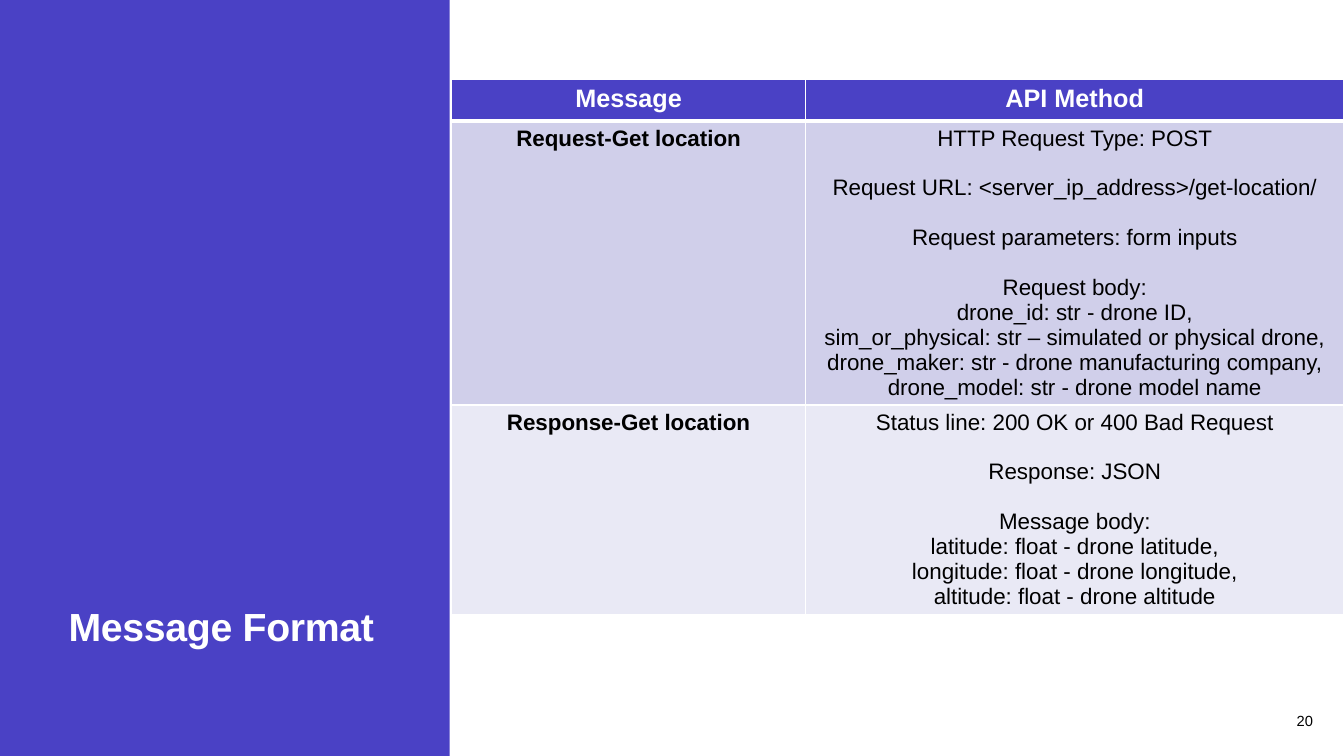
import pptx
import pptx.util
import pptx.dml.color
import pptx.enum.shapes
import pptx.enum.text
import pptx.oxml
import pptx.oxml.ns

Inches, Pt = pptx.util.Inches, pptx.util.Pt
ALIGN, ANCHOR = pptx.enum.text.PP_ALIGN, pptx.enum.text.MSO_ANCHOR

THEME = {
    "font": "Arial",
    "indigo": "4A41C5", "request": "D0CFEA", "response": "E9E9F5",
    "white": "FFFFFF", "black": "000000",
    "title": 28, "header": 18, "body": 16, "number": 10.5,
}


def format_text(paragraph, size, color, bold=False, align=ALIGN.CENTER):
    paragraph.alignment = align
    for run in paragraph.runs:
        run.font.name = THEME["font"]
        run.font.size = Pt(THEME[size])
        run.font.bold = bold
        run.font.color.rgb = pptx.dml.color.RGBColor.from_string(THEME[color])


def paint(fill, color):
    fill.solid()
    fill.fore_color.rgb = pptx.dml.color.RGBColor.from_string(THEME[color])


presentation = pptx.Presentation()
presentation.slide_width = Inches(13.33)
presentation.slide_height = Inches(7.5)
slide = presentation.slides.add_slide(presentation.slide_layouts[5])

# Side panel, placed behind the title
panel = slide.shapes.add_shape(pptx.enum.shapes.MSO_SHAPE.RECTANGLE,
                               0, 0, Inches(4.46), Inches(7.5))
panel.shadow.inherit = False
paint(panel.fill, "indigo")
panel.line.fill.background()
slide.shapes._spTree.insert(2, panel._element)

# Title
title = slide.shapes.title
title.left, title.top = Inches(0.58), Inches(0.85)
title.width, title.height = Inches(3.51), Inches(5.65)
title.text_frame.text = "Message Format"
title.text_frame.word_wrap = True
title.text_frame.auto_size = pptx.enum.text.MSO_AUTO_SIZE.NONE
title.text_frame.vertical_anchor = ANCHOR.BOTTOM
heading = title.text_frame.paragraphs[0]
heading.line_spacing = 0.9
format_text(heading, "title", "white", True, ALIGN.LEFT)
heading.runs[0]._r.get_or_add_rPr().set("spc", "-20")

# Message table: each cell is a list of paragraphs, \v breaks a line
messages = [
    (["Message"], ["API Method"]),
    (["Request-Get location"], [
        "HTTP Request Type: POST",
        "Request URL: <server_ip_address>/get-location/",
        "Request parameters: form inputs",
        "Request body:\vdrone_id: str - drone ID,\v"
        "sim_or_physical: str – simulated or physical drone, "
        "drone_maker: str - drone manufacturing company, "
        "drone_model: str - drone model name",
    ]),
    (["Response-Get location"], [
        "Status line: 200 OK or 400 Bad Request",
        "Response: JSON",
        "Message body:\vlatitude: float - drone latitude,\v"
        "longitude: float - drone longitude,\valtitude: float - drone altitude",
    ]),
]
row_fills = ["indigo", "request", "response"]
row_heights = [0.41, 2.81, 2.07]
column_widths = [3.51, 5.34]

table_frame = slide.shapes.add_table(3, 2, Inches(4.48), Inches(0.79),
                                     Inches(sum(column_widths)),
                                     Inches(sum(row_heights)))
message_table = table_frame.table
for column, width in zip(message_table.columns, column_widths):
    column.width = Inches(width)

for r, message in enumerate(messages):
    message_table.rows[r].height = Inches(row_heights[r])
    is_header = r == 0
    for c, entries in enumerate(message):
        cell = message_table.cell(r, c)
        paint(cell.fill, row_fills[r])
        cell.text_frame.text = "\n".join(entries)
        for i, paragraph in enumerate(cell.text_frame.paragraphs):
            paragraph.space_before = Pt(17.8 if i else 0)
            format_text(paragraph, "header" if is_header else "body",
                        "white" if is_header else "black", is_header or c == 0)
        # White borders, heavier between header and body
        for position, side in enumerate("LRTB"):
            heavy = (r, side) in [(0, "B"), (1, "T")]
            border = pptx.oxml.parse_xml(
                f'<a:ln{side} {pptx.oxml.ns.nsdecls("a")} w="{Pt(3 if heavy else 1)}">'
                f'<a:solidFill><a:srgbClr val="{THEME["white"]}"/></a:solidFill>'
                f'</a:ln{side}>')
            cell._tc.get_or_add_tcPr().insert(position, border)

# Page number
page_number = slide.shapes.add_textbox(Inches(12.43), Inches(6.95),
                                       Inches(0.69), Inches(0.4))
page_number.text_frame.word_wrap = True
page_number.text_frame.vertical_anchor = ANCHOR.MIDDLE
page_number.text_frame.text = "20"
format_text(page_number.text_frame.paragraphs[0], "number", "black", align=ALIGN.RIGHT)

presentation.save("out.pptx")
